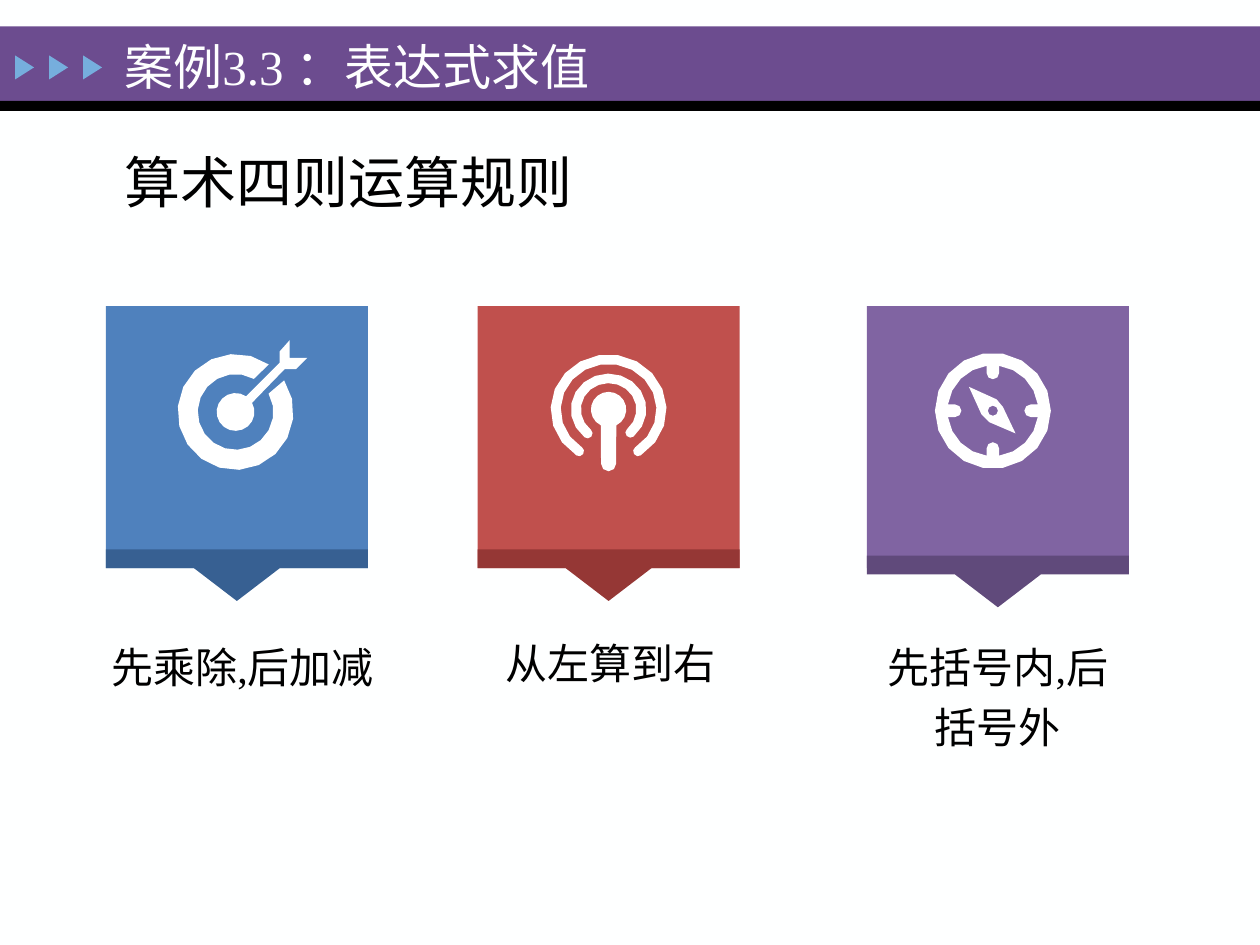
"""Build a slide on the rules of arithmetic with three icon cards."""
from math import ceil, cos, radians, sin

from pptx import Presentation
from pptx.dml.color import RGBColor
from pptx.enum.shapes import MSO_SHAPE
from pptx.enum.text import MSO_ANCHOR, PP_ALIGN
from pptx.util import Inches, Pt

RECTANGLE = MSO_SHAPE.RECTANGLE
TRIANGLE = MSO_SHAPE.ISOSCELES_TRIANGLE
TOP, MIDDLE = MSO_ANCHOR.TOP, MSO_ANCHOR.MIDDLE
LEFT, CENTER = PP_ALIGN.LEFT, PP_ALIGN.CENTER

FONT = "Times New Roman"
BLACK = RGBColor(0x00, 0x00, 0x00)
WHITE = RGBColor(0xFF, 0xFF, 0xFF)
PAPER = RGBColor(0xFE, 0xFF, 0xFF)
BANNER = RGBColor(0x6C, 0x4C, 0x8F)
ARROW = RGBColor(0x76, 0xAE, 0xDD)
BLUE, DARK_BLUE = RGBColor(0x4F, 0x81, 0xBD), RGBColor(0x37, 0x60, 0x92)
RED, DARK_RED = RGBColor(0xC0, 0x50, 0x4D), RGBColor(0x95, 0x37, 0x35)
PURPLE, DARK_PURPLE = RGBColor(0x80, 0x64, 0xA2), RGBColor(0x60, 0x4A, 0x7B)

TITLE = "案例3.3 ：表达式求值"
HEADING = "算术四则运算规则"
CARD_SIZE, CARD_TOP = 2.08, 2.43


def point_at(center, radius, angle, squash=1.0):
    """Return the point at an angle running clockwise from the right."""
    turn = radians(angle)
    return center[0] + radius * cos(turn), center[1] + radius * sin(turn) * squash


def arc(center, radius, start, end, squash=1.0):
    """Return points along an arc, with wider steps on a small radius."""
    steps = ceil(abs(end - start) / (45 if radius < 0.1 else 20))
    return [point_at(center, radius, start + (end - start) * i / steps, squash)
            for i in range(steps + 1)]


def target_icon():
    """Return the contours of a target hit by a dart."""
    center = (1.87, 3.27)
    ring = arc(center, 0.3, -29, 299) + arc(center, 0.46, 305, -33)
    dart = arc(center, 0.15, -29, 304) + [
        (2.22, 2.88), (2.22, 2.79), (2.3, 2.7), (2.3, 2.84),
        (2.44, 2.84), (2.35, 2.93), (2.26, 2.93)]
    return [ring, dart]


def signal_icon():
    """Return the contours of a mast between two round-ended waves."""
    center, squash, cap = (4.83, 3.25), 0.95, 0.04
    contours = []
    for radius, start, end in [(0.42, 124, 416), (0.26, 130, 408)]:
        first = point_at(center, radius, start, squash)
        last = point_at(center, radius, end, squash)
        contours.append(arc(center, radius + cap, start, end, squash)
                        + arc(last, cap, end, end + 180)
                        + arc(center, radius - cap, end, start, squash)
                        + arc(first, cap, start + 180, start + 360))
    mast = arc(center, 0.14, 116, 424) + arc((4.83, 3.68), 0.06, 0, 180)
    return contours + [mast]


def compass_icon():
    """Return the contours of a compass with four marks and a needle."""
    center = (7.88, 3.26)
    face = []
    for angle in range(0, 360, 90):
        mark = point_at(center, 0.3, angle + 90)
        face += arc(center, 0.36, angle + 8, angle + 82)
        face += arc(mark, 0.05, angle, angle - 180)
    needle = [(7.91, 3.17), (7.69, 3.07), (7.79, 3.29),
              (7.85, 3.35), (8.06, 3.44), (7.96, 3.23)]
    return [arc(center, 0.46, 0, 360), face, needle, arc(center, 0.04, 0, 360)]


CARDS = [
    dict(left=0.84, fill=BLUE, dark=DARK_BLUE, pointer_top=4.36, icon=target_icon,
         caption="先乘除,后加减", caption_box=(0.75, 5.01, 2.35, 0.58)),
    dict(left=6.88, fill=PURPLE, dark=DARK_PURPLE, pointer_top=4.41, icon=compass_icon,
         caption="先括号内,后括号外", caption_box=(6.88, 5.01, 2.08, 0.58)),
    dict(left=3.79, fill=RED, dark=DARK_RED, pointer_top=4.36, icon=signal_icon,
         caption="从左算到右", caption_box=(3.67, 4.98, 2.35, 0.58)),
]


def paint(shape, color):
    shape.shadow.inherit = False
    shape.fill.solid()
    shape.fill.fore_color.rgb = color
    shape.line.fill.background()


def add_block(page, kind, place, color, rotation=0):
    block = page.shapes.add_shape(kind, *map(Inches, place))
    block.rotation = rotation
    paint(block, color)


def add_outline(page, contours, color):
    contours = [[(Inches(x), Inches(y)) for x, y in points] for points in contours]
    builder = page.shapes.build_freeform(*contours[0][0])
    for number, points in enumerate(contours):
        if number:
            builder.move_to(*points[0])
        builder.add_line_segments(points[1:], close=True)
    paint(builder.convert_to_shape(), color)


def add_text(page, text, place, size, color=BLACK, align=LEFT, anchor=TOP,
             spacing=None, inset=None):
    frame = page.shapes.add_textbox(*map(Inches, place)).text_frame
    frame.word_wrap = True
    frame.vertical_anchor = anchor
    if inset is not None:
        frame.margin_left = frame.margin_right = Inches(inset)
        frame.margin_top = frame.margin_bottom = Inches(inset)
    para = frame.paragraphs[0]
    para.alignment = align
    para.line_spacing = spacing
    span = para.add_run()
    span.text = text
    span.font.name = FONT
    span.font.size = Pt(size)
    span.font.color.rgb = color


def add_card(page, left, fill, dark, pointer_top, icon, caption, caption_box):
    right, middle = left + CARD_SIZE, left + CARD_SIZE / 2
    edge, tip = pointer_top + 0.15, pointer_top + 0.41
    add_block(page, RECTANGLE, (left, CARD_TOP, CARD_SIZE, CARD_SIZE), fill)
    add_outline(page, [[(left, pointer_top), (right, pointer_top), (right, edge),
                        (middle + 0.34, edge), (middle, tip),
                        (middle - 0.34, edge), (left, edge)]], dark)
    add_text(page, caption, caption_box, 24, align=CENTER, spacing=1.2, inset=0)
    add_outline(page, icon(), WHITE)


def main():
    deck = Presentation()
    deck.slide_width, deck.slide_height = Inches(10), Inches(7.5)
    page = deck.slides.add_slide(deck.slide_layouts[6])
    page.background.fill.solid()
    page.background.fill.fore_color.rgb = PAPER
    add_block(page, RECTANGLE, (0, 0.21, 10, 0.59), BANNER)
    add_block(page, RECTANGLE, (0, 0.8, 10, 0.08), BLACK)
    for number in range(3):
        add_block(page, TRIANGLE, (0.1 + 0.27 * number, 0.46, 0.19, 0.15), ARROW, 90)
    add_text(page, HEADING, (0.89, 1.12, 4.5, 0.63), 32)
    add_text(page, TITLE, (0.89, 0.19, 5.4, 0.67), 28, color=PAPER, anchor=MIDDLE)
    for card in CARDS:
        add_card(page, **card)
    deck.save("out.pptx")


if __name__ == "__main__":
    main()
